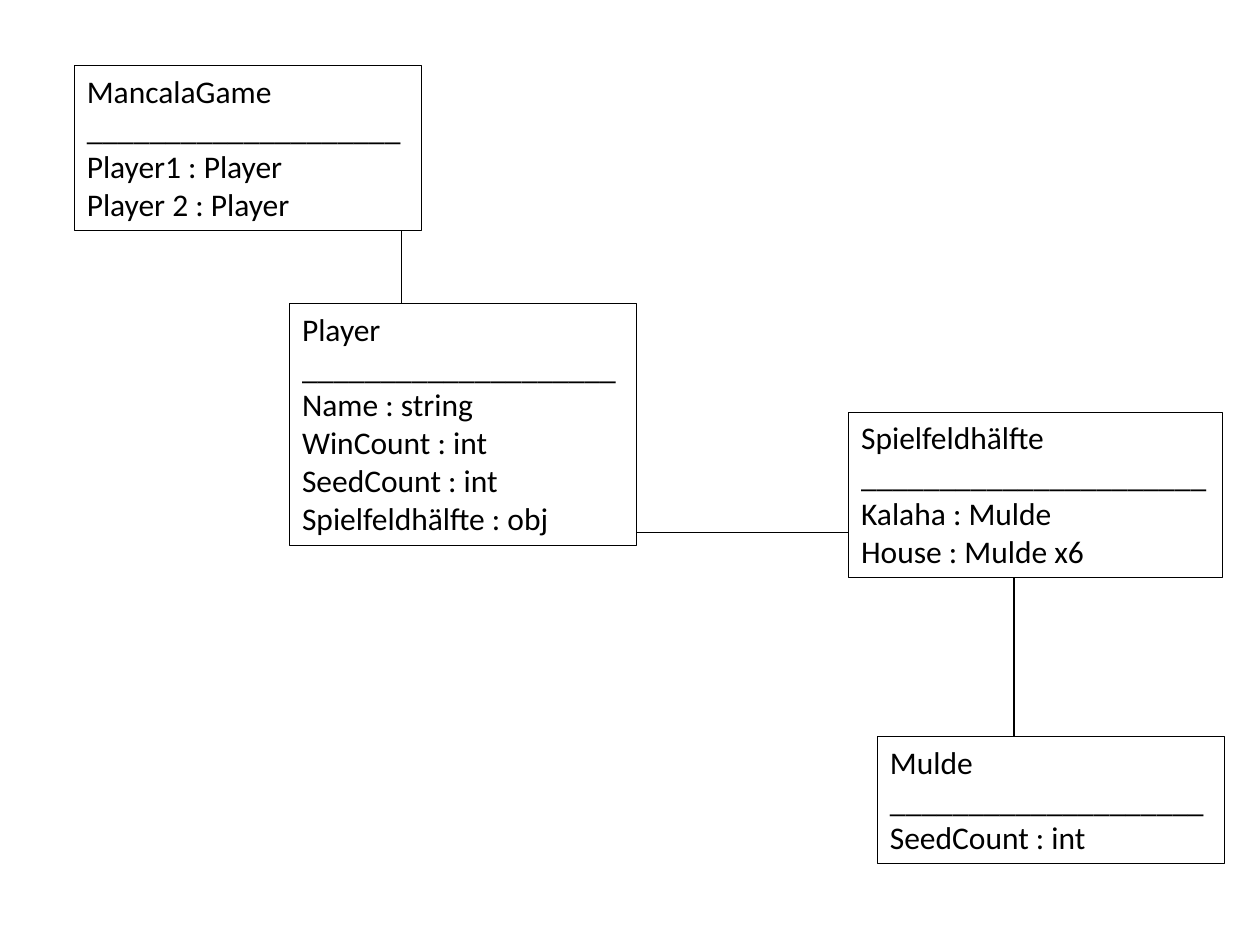
from pptx import Presentation
from pptx.util import Cm, Pt
from pptx.dml.color import RGBColor
from pptx.enum.shapes import MSO_CONNECTOR
from pptx.enum.text import MSO_AUTO_SIZE
from pptx.oxml.ns import qn
from lxml.etree import SubElement

BLACK = RGBColor(0, 0, 0)
EDGE = Pt(0.75)

deck = Presentation()
deck.slide_width, deck.slide_height = Cm(25.4), Cm(19.05)
slide = deck.slides.add_slide(deck.slide_layouts[6])


def write(frame, text, size=18, font="Calibri", color=BLACK):
    for num, line in enumerate(text):
        para = frame.paragraphs[0] if num == 0 else frame.add_paragraph()
        run = para.add_run()
        run.text = line
        run.font.size = Pt(size)
        run.font.name = font
        run.font.color.rgb = color


classes = [
    ("Player", 5.84, 6.12, 7, 4.88, 20,
     ["Name : string", "WinCount : int", "SeedCount : int", "Spielfeldhälfte : obj"]),
    ("Spielfeldhälfte", 17.11, 8.31, 7.54, 3.33, 22,
     ["Kalaha : Mulde", "House : Mulde x6"]),
    ("Mulde", 17.69, 14.85, 7, 2.56, 20, ["SeedCount : int"]),
    ("MancalaGame", 1.5, 1.32, 7, 3.33, 20,
     ["Player1 : Player", "Player 2 : Player"]),
]
for name, left, top, width, height, dashes, fields in classes:
    box = slide.shapes.add_textbox(Cm(left), Cm(top), Cm(width), Cm(height))
    box.line.color.rgb = BLACK
    box.line.width = EDGE
    frame = box.text_frame
    frame.word_wrap = True
    frame.auto_size = MSO_AUTO_SIZE.SHAPE_TO_FIT_TEXT
    write(frame, [name, "_" * dashes] + fields)

links = [
    (12.84, 10.73, 17.11, 10.73),
    (20.44, 14.85, 20.44, 11.64),
    (8.1, 6.12, 8.1, 4.65),
]
for ends in links:
    link = slide.shapes.add_connector(MSO_CONNECTOR.STRAIGHT, *map(Cm, ends))
    link.line.color.rgb = BLACK
    link.line.width = EDGE
    SubElement(link._element.spPr, qn("a:effectLst"))

deck.save("out.pptx")
